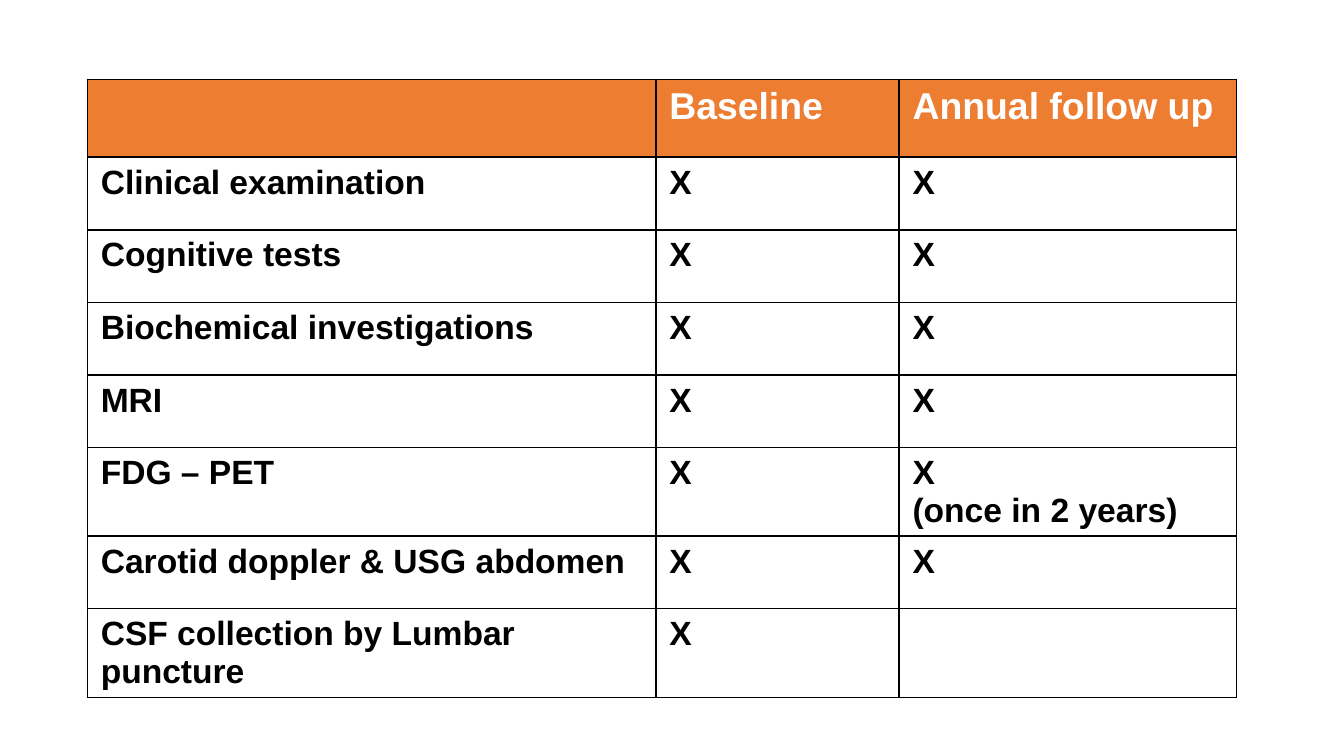
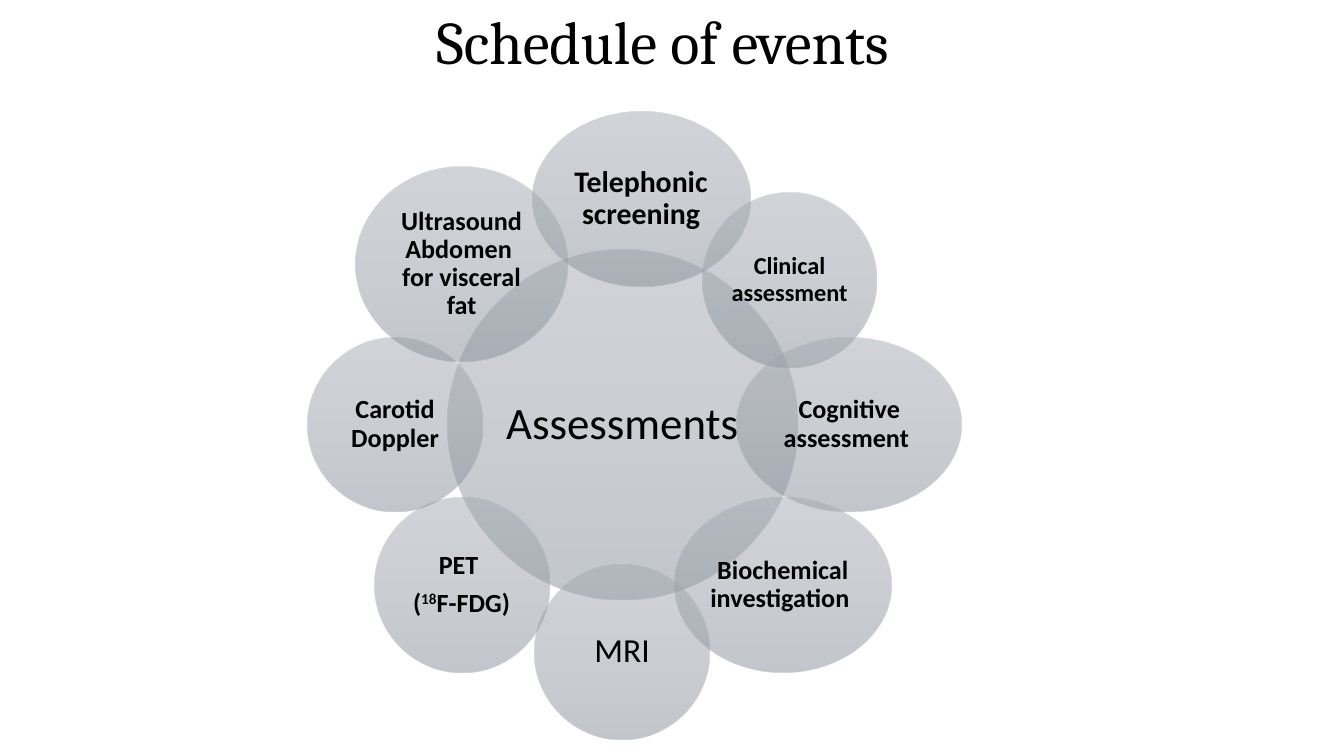
from math import cos, radians, sin

from pptx import Presentation
from pptx.dml.color import RGBColor
from pptx.enum.shapes import MSO_SHAPE
from pptx.enum.text import MSO_ANCHOR, MSO_AUTO_SIZE, PP_ALIGN
from pptx.oxml import parse_xml
from pptx.oxml.ns import nsdecls
from pptx.util import Inches, Pt

OVAL = MSO_SHAPE.OVAL
MIDDLE = MSO_ANCHOR.MIDDLE
NO_FIT = MSO_AUTO_SIZE.NONE
CENTER = PP_ALIGN.CENTER

COLORS = {
    "text": "000000",
    "paper": "FFFFFF",
    "head": "ED7D31",
    "light": "A5AAB3",
    "mid": "999EA7",
    "dark": "878E9A",
}
TITLE_ONLY, BLANK = 5, 6

HEADS = ["", "Baseline", "Annual follow up"]
TESTS = [
    ("Clinical examination", "X", "X"),
    ("Cognitive tests", "X", "X"),
    ("Biochemical investigations", "X", "X"),
    ("MRI", "X", "X"),
    ("FDG – PET", "X", "X\n(once in 2 years)"),
    ("Carotid doppler & USG abdomen", "X", "X"),
    ("CSF collection by Lumbar puncture", "X", ""),
]

# Clockwise from the top: text, size, bold, width, height, nudge x, nudge y
PETALS = [
    ("Telephonic screening", 16, True, 1.62, 1.3, 0.14, 0.01),
    ("Clinical assessment", 13, True, 1.3, 1.3, 0.05, 0.12),
    ("Cognitive assessment ", 14, True, 1.67, 1.3, 0, 0),
    ("Biochemical investigation ", 14, True, 1.61, 1.3, 0, 0),
    ("MRI", 18, False, 1.3, 1.3, 0, 0),
    ("PET \n(^18^F-FDG)", 14, True, 1.3, 1.3, 0, 0),
    ("Carotid Doppler", 14, True, 1.3, 1.3, 0, 0),
    ("Ultrasound Abdomen \vfor visceral fat", 14, True, 1.58, 1.45, 0, 0),
]
HUB = 2.6
PETAL = 1.3


def color(name):
    return RGBColor.from_string(COLORS[name])


def style(font, face, size, bold, tone="text"):
    font.name = face
    font.size = Pt(size)
    font.bold = bold
    font.color.rgb = color(tone)


def add_title(slide, text, box):
    title = slide.shapes.title
    title.left, title.top, title.width, title.height = map(Inches, box)
    frame = title.text_frame
    frame.text = text
    frame.word_wrap = True
    frame.auto_size = NO_FIT
    frame.vertical_anchor = MIDDLE
    para = frame.paragraphs[0]
    para.alignment = CENTER
    para.line_spacing = 0.9
    style(para.runs[0].font, "Cambria", 32.4, False)


def set_borders(cell):
    props = cell._tc.get_or_add_tcPr()
    for side in "LRTB":
        props.append(parse_xml(
            f'<a:ln{side} {nsdecls("a")} w="12700"><a:solidFill>'
            f'<a:srgbClr val="{COLORS["text"]}"/></a:solidFill></a:ln{side}>'))


def fill_cell(cell, text, size, tone, back):
    set_borders(cell)
    cell.fill.solid()
    cell.fill.fore_color.rgb = color(back)
    cell.text = text
    for para in cell.text_frame.paragraphs:
        for run in para.runs:
            style(run.font, "Arial", size, True, tone)


def add_grid(slide, box):
    rows = [HEADS, *TESTS]
    table = slide.shapes.add_table(len(rows), len(HEADS), *map(Inches, box)).table
    for col, width in zip(table.columns, (4.23, 1.81, 2.51)):
        col.width = Inches(width)
    for r, row in enumerate(rows):
        table.rows[r].height = Inches(0.54 if r else 0.58)
        look = (18, "text", "paper") if r else (20, "paper", "head")
        for c, text in enumerate(row):
            fill_cell(table.cell(r, c), text, *look)


def set_glass(shape):
    """Fill the shape with a half-clear gradient from top to bottom."""
    stops = "".join(
        f'<a:gs pos="{pos}"><a:srgbClr val="{COLORS[name]}">'
        '<a:alpha val="50000"/></a:srgbClr></a:gs>'
        for pos, name in ((0, "light"), (50000, "mid"), (100000, "dark")))
    shape.fill.background()
    old = shape.fill._xPr.find("{*}noFill")
    old.getparent().replace(old, parse_xml(
        f'<a:gradFill {nsdecls("a")} rotWithShape="1"><a:gsLst>{stops}</a:gsLst>'
        '<a:lin ang="5400000" scaled="0"/></a:gradFill>'))
    shape.line.fill.background()
    shape.shadow.inherit = False


def add_disc(group, mid_x, mid_y, width, height, text, size, bold):
    """Add an ellipse by its centre; text between carets is raised."""
    disc = group.shapes.add_shape(
        OVAL, Inches(mid_x - width / 2), Inches(mid_y - height / 2),
        Inches(width), Inches(height))
    set_glass(disc)
    frame = disc.text_frame
    frame.word_wrap = True
    frame.vertical_anchor = MIDDLE
    frame.margin_left = frame.margin_right = Inches(0.02)
    frame.margin_top = frame.margin_bottom = Inches(0.02)
    frame.text = text
    for para in frame.paragraphs:
        para.alignment = CENTER
        para.line_spacing = 0.9
        para.space_after = Pt(round(0.35 * size))
        parts = para.text.split("^")
        para.text = parts[0]
        for run in para.runs:
            style(run.font, "Calibri", size, bold)
        for i, part in enumerate(parts[1:]):
            run = para.add_run()
            run.text = part
            style(run.font, "Calibri", size, bold)
            if i % 2 == 0:
                run._r.get_or_add_rPr().set("baseline", "30000")


def add_wheel(slide, left, top, side):
    group = slide.shapes.add_group_shape()
    mid_x, mid_y = left + side / 2, top + side / 2
    reach = (side - PETAL) / 2
    add_disc(group, mid_x, mid_y, HUB, HUB, "Assessments", 24, False)
    for i, (text, size, bold, width, height, dx, dy) in enumerate(PETALS):
        turn = radians(i * 360 / len(PETALS))
        add_disc(group, mid_x + reach * sin(turn) + dx,
                 mid_y - reach * cos(turn) + dy,
                 width, height, text, size, bold)


def main():
    deck = Presentation()
    deck.slide_width = Inches(10)
    deck.slide_height = deck.slide_width * 9 // 16
    layouts = deck.slide_layouts

    add_grid(deck.slides.add_slide(layouts[BLANK]), (0.65, 0.59, 8.55, 4.36))

    events = deck.slides.add_slide(layouts[TITLE_ONLY])
    add_title(events, "Schedule of events", (0.62, 0, 8.62, 0.67))
    add_wheel(events, 2.29, 0.82, 4.68)

    deck.save("out.pptx")


if __name__ == "__main__":
    main()
